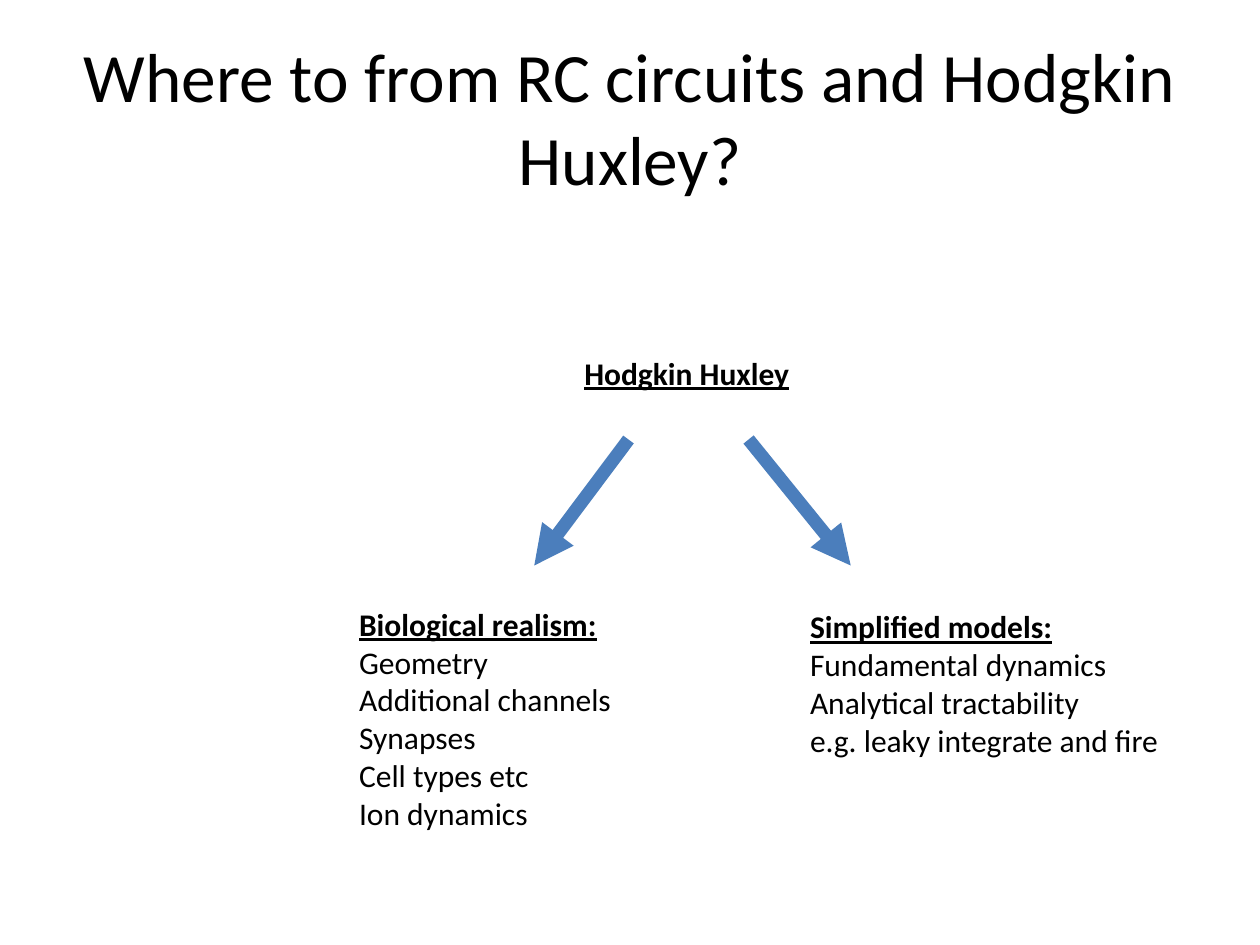
import pptx
import pptx.util
import pptx.dml.color
import pptx.enum.shapes
import pptx.enum.text
import pptx.oxml
import pptx.oxml.ns

Cm = pptx.util.Cm
Pt = pptx.util.Pt

# Content: places in centimetres
TITLE = "Where to from RC circuits and Hodgkin Huxley?"
NOTES = [
    # left, top, width, height, heading, lines
    (11.53, 7.01, 4.67, 1.02, "Hodgkin Huxley", []),
    (6.99, 12.07, 5.66, 4.88, "Biological realism:",
     ["Geometry", "Additional channels", "Synapses", "Cell types etc",
      "Ion dynamics"]),
    (16.08, 12.12, 7.62, 3.33, "Simplified models:",
     ["Fundamental dynamics", "Analytical tractability",
      "e.g. leaky integrate and fire"]),
]
ARROWS = [(12.67, 10.77), (15.09, 17.15)]  # start x, end x
TOP, BOTTOM = 8.86, 11.4
FONT, BLACK, BLUE = "Calibri", "000000", "4B7EBC"


def paint(color, code):
    color.rgb = pptx.dml.color.RGBColor.from_string(code)


def add_run(para, text, size, strong=False):
    run = para.add_run()
    run.text = text
    font = run.font
    font.name, font.size = FONT, Pt(size)
    font.bold = font.underline = strong
    paint(font.color, BLACK)


def add_note(slide, left, top, width, height, head, lines):
    box = slide.shapes.add_textbox(Cm(left), Cm(top), Cm(width), Cm(height))
    frame = box.text_frame
    frame.word_wrap = False
    frame.auto_size = pptx.enum.text.MSO_AUTO_SIZE.SHAPE_TO_FIT_TEXT
    add_run(frame.paragraphs[0], head, 18, True)
    for line in lines:
        add_run(frame.add_paragraph(), line, 18)


def add_arrow(slide, start, end):
    arrow = slide.shapes.add_connector(
        pptx.enum.shapes.MSO_CONNECTOR.STRAIGHT,
        Cm(start), Cm(TOP), Cm(end), Cm(BOTTOM))
    arrow.line.width = Pt(7.5)
    paint(arrow.line.color, BLUE)
    # Arrowhead and no shadow
    props = arrow.line._get_or_add_ln()
    tail = pptx.oxml.ns.qn("a:tailEnd")
    props.append(props.makeelement(tail, {"type": "triangle"}))
    shape = props.getparent()
    shape.append(shape.makeelement(pptx.oxml.ns.qn("a:effectLst"), {}))


def main():
    deck = pptx.Presentation()
    deck.slide_width, deck.slide_height = Cm(25.4), Cm(19.05)
    slide = deck.slides.add_slide(deck.slide_layouts[5])

    # Title
    title = slide.shapes.title
    title.left, title.top = Cm(1.27), Cm(0.76)
    title.width, title.height = Cm(22.86), Cm(3.18)
    frame = title.text_frame
    frame.word_wrap = True
    frame.vertical_anchor = pptx.enum.text.MSO_ANCHOR.MIDDLE
    para = frame.paragraphs[0]
    para.alignment = pptx.enum.text.PP_ALIGN.CENTER
    add_run(para, TITLE, 39.6)

    # Model and its two directions
    for note in NOTES:
        add_note(slide, *note)
    for start, end in ARROWS:
        add_arrow(slide, start, end)

    deck.save("out.pptx")


if __name__ == "__main__":
    main()
